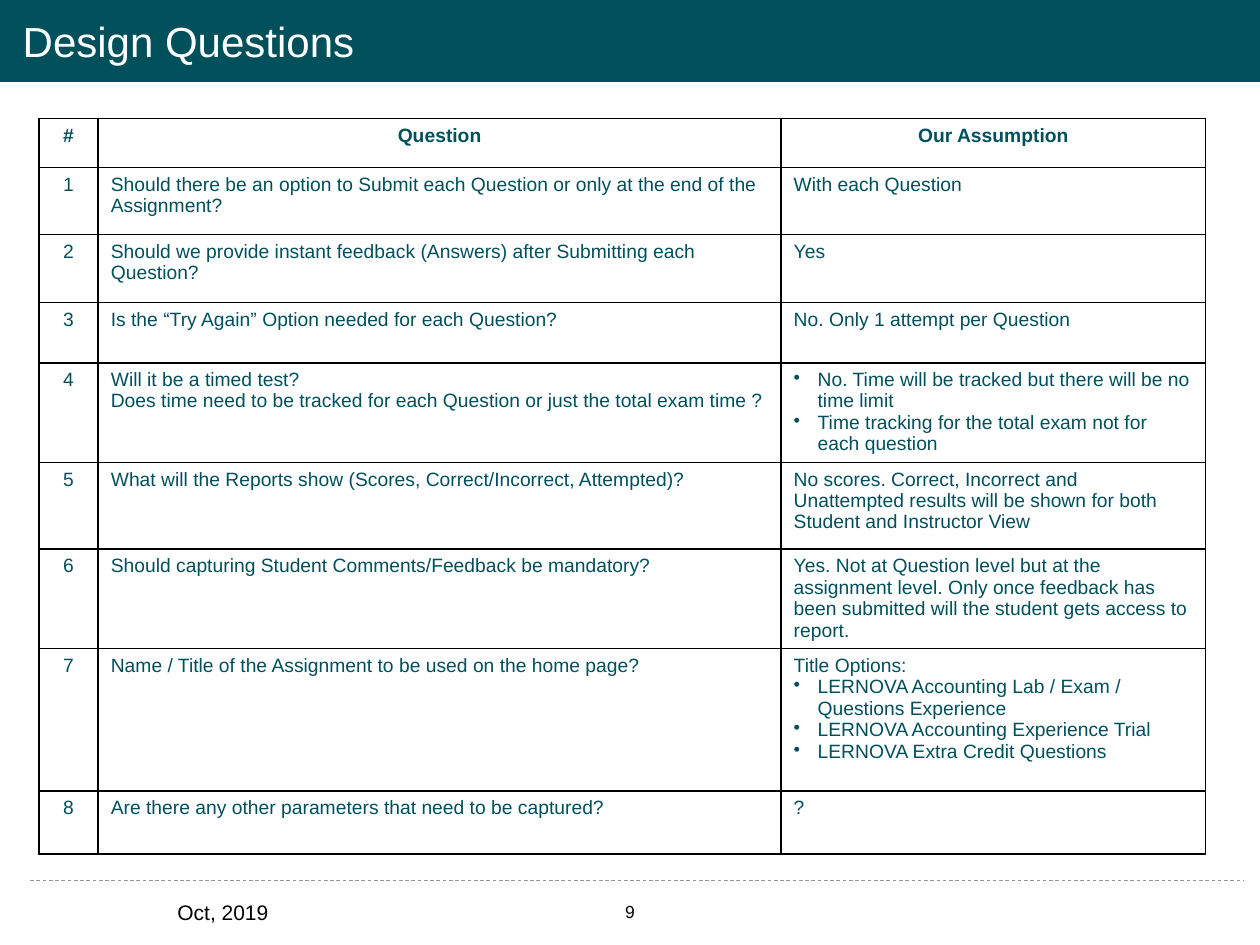
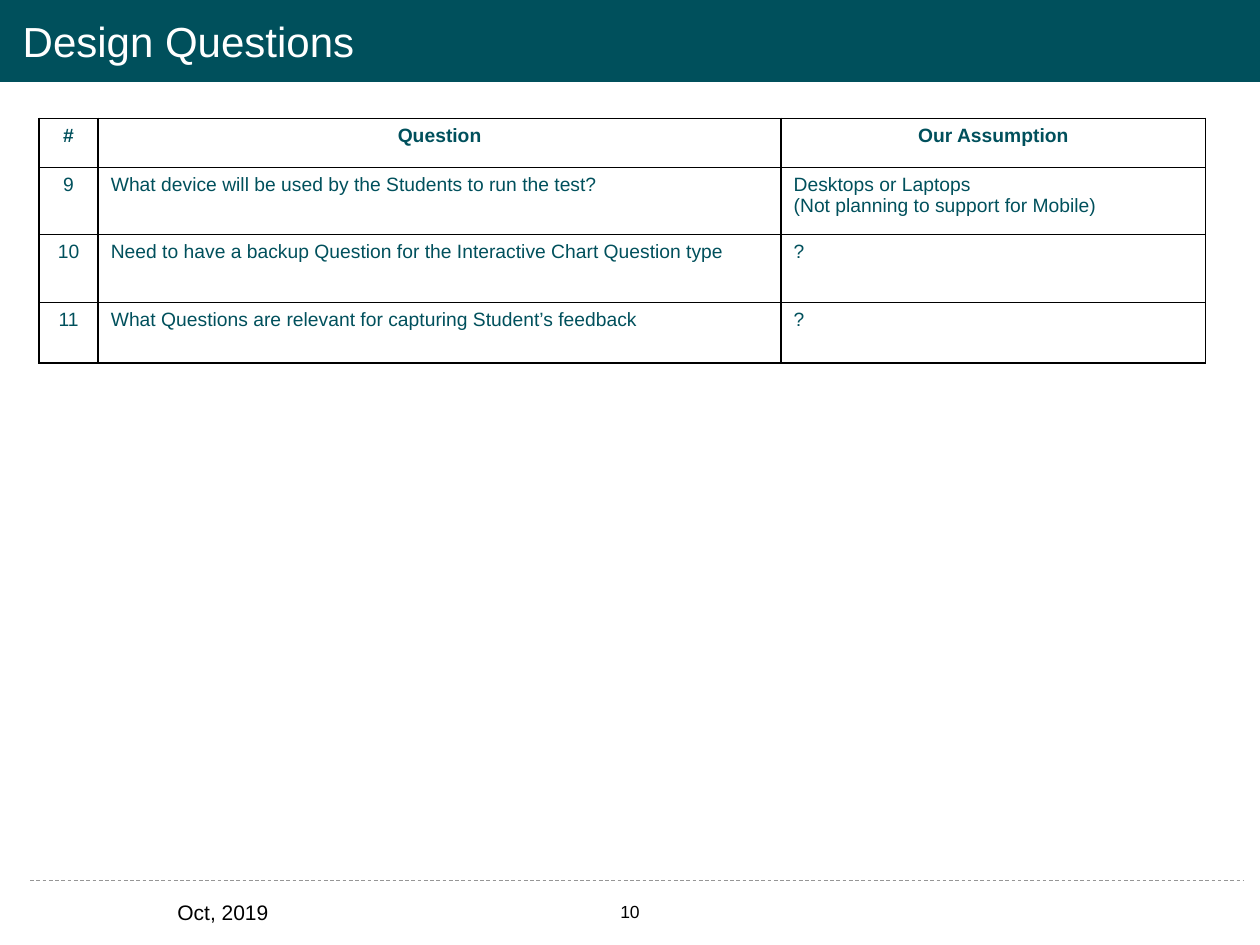
"""Builds two slides of design questions with the assumptions made for each."""
from dataclasses import dataclass

from lxml.etree import SubElement
from pptx import Presentation
from pptx.dml.color import RGBColor as RGB
from pptx.enum.dml import MSO_LINE
from pptx.enum.shapes import MSO_CONNECTOR as CONN, MSO_SHAPE as SHAPE
from pptx.enum.text import MSO_ANCHOR as ANCHOR, MSO_AUTO_SIZE as AUTO, PP_ALIGN as ALIGN
from pptx.oxml import parse_xml
from pptx.oxml.ns import nsdecls, qn
from pptx.util import Inches, Pt

BULLET = "• "


@dataclass(frozen=True)
class Theme:
    """Colours, font and type sizes."""
    teal: str = "00505C"
    white: str = "FFFFFF"
    black: str = "000000"
    grey: str = "969696"
    font: str = "Arial"
    title: int = 24
    date: int = 12
    cell: int = 11
    page: int = 10


def write(tf, text, *, size, color, font="Arial", bold=False, align=ALIGN.LEFT,
          leading=None, before=0, after=0, indent=0.19):
    """Fill a text frame, one paragraph per line; a leading bullet makes a list item."""
    for i, line in enumerate(text.split("\n")):
        p = tf.paragraphs[0] if i == 0 else tf.add_paragraph()
        p.alignment, p.line_spacing = align, leading
        p.space_before, p.space_after = Pt(before), Pt(after)
        if line.startswith(BULLET):
            pPr = p._p.get_or_add_pPr()
            pPr.set("marL", str(Inches(indent)))
            pPr.set("indent", str(-Inches(indent)))
            SubElement(pPr, qn("a:buChar")).set("char", BULLET.strip())
        r = p.add_run()
        r.text = line.removeprefix(BULLET)
        r.font.size, r.font.bold, r.font.name = Pt(size), bold, font
        r.font.color.rgb = RGB.from_string(color)


class Deck:
    """Holds the style and current slide; lengths are cells of a 100 by 75 grid."""

    def __init__(self, theme):
        self.prs, self.theme = Presentation(), theme
        self.prs.slide_width, self.prs.slide_height = Inches(10), Inches(7.5)
        self.unit = self.prs.slide_width // 100
        self.slide = None

    def grid(self, *cells):
        """Turn grid cells into lengths."""
        return [round(c * self.unit) for c in cells]

    def band(self, *box):
        """Add a plain filled band."""
        sp = self.slide.shapes.add_shape(SHAPE.RECTANGLE, *self.grid(*box))
        sp.shadow.inherit = False
        sp.fill.solid()
        sp.fill.fore_color.rgb = RGB.from_string(self.theme.teal)
        sp.line.fill.background()

    def rule(self, *ends):
        """Add a thin dashed line."""
        line = self.slide.shapes.add_connector(CONN.STRAIGHT, *self.grid(*ends))
        line.line.color.rgb = RGB.from_string(self.theme.grey)
        line.line.width, line.line.dash_style = Pt(0.5), MSO_LINE.DASH
        SubElement(line._element.spPr, qn("a:effectLst"))

    def text(self, text, *box, anchor=ANCHOR.TOP, inset=0.5, **fmt):
        """Add a wrapping text box."""
        tf = self.slide.shapes.add_textbox(*self.grid(*box)).text_frame
        tf.word_wrap, tf.vertical_anchor = True, anchor
        tf.margin_top, tf.margin_bottom = self.grid(inset, inset)
        write(tf, text, color=self.theme.black, font=self.theme.font, **fmt)

    def title(self, text):
        """Fill the title placeholder and bring it in front of the band."""
        sp = self.slide.shapes.title
        sp.left, sp.top, sp.width, sp.height = self.grid(0.8, 0.2, 94.8, 6.5)
        sp.element.getparent().append(sp.element)
        tf = sp.text_frame
        tf.auto_size, tf.vertical_anchor = AUTO.NONE, ANCHOR.MIDDLE
        write(tf, text, size=self.theme.title, color=self.theme.white,
              font=self.theme.font, leading=0.9, before=3, after=6)

    def page(self, title, number):
        """Start a slide with its band, footer and title."""
        self.slide = self.prs.slides.add_slide(self.prs.slide_layouts[5])
        self.text(str(number), 37.2, 70.7, 25.6, 3.7, inset=1,
                  size=self.theme.page, align=ALIGN.CENTER)
        self.band(0, 0, 100, 6.5)
        self.rule(2.4, 69.9, 98.7, 69.9)
        self.text("Oct, 2019", 13.1, 69.5, 22.5, 6.1, anchor=ANCHOR.MIDDLE,
                  size=self.theme.date, leading=0.9, before=7.5)
        self.title(title)

    def outline(self, cell):
        """Draw all four borders of a table cell."""
        tcPr = cell._tc.get_or_add_tcPr()
        for i, side in enumerate("LRTB"):
            tcPr.insert(i, parse_xml(
                f'<a:ln{side} {nsdecls("a")} w="{Pt(1)}"><a:solidFill>'
                f'<a:srgbClr val="{self.theme.black}"/></a:solidFill></a:ln{side}>'))

    def table(self, left, top, widths, heights, rows):
        """Add a bordered table with a bold, centred header and centred first column."""
        box = self.grid(left, top, sum(widths), sum(heights))
        tbl = self.slide.shapes.add_table(len(rows), len(widths), *box).table
        tbl.first_row = tbl.horz_banding = False
        for col, width in zip(tbl.columns, self.grid(*widths)):
            col.width = width
        for row, height in zip(tbl.rows, self.grid(*heights)):
            row.height = height
        for y, row in enumerate(rows):
            for x, text in enumerate(row):
                cell = tbl.cell(y, x)
                cell.fill.background()
                self.outline(cell)
                write(cell.text_frame, text, size=self.theme.cell, color=self.theme.teal,
                      font=self.theme.font, bold=y == 0,
                      align=ALIGN.LEFT if x and y else ALIGN.CENTER)


HEADER = ("#", "Question", "Our Assumption")
WIDTHS = (4.7, 54.2, 33.7)
HEIGHTS = (3.9, 5.3, 5.4, 4.8, 7.9, 6.9, 7.9, 11.3, 5)
FIRST_PAGE = 9

QUESTIONS = [
    [
        ("Should there be an option to Submit each Question or only at the end of the Assignment?",
         "With each Question"),
        ("Should we provide instant feedback (Answers) after Submitting each Question?", "Yes"),
        ("Is the “Try Again” Option needed for each Question?", "No. Only 1 attempt per Question"),
        ("Will it be a timed test?\n"
         "Does time need to be tracked for each Question or just the total exam time ?",
         "• No. Time will be tracked but there will be no time limit\n"
         "• Time tracking for the total exam not for each question"),
        ("What will the Reports show (Scores, Correct/Incorrect, Attempted)?",
         "No scores. Correct, Incorrect and Unattempted results will be shown for both "
         "Student and Instructor View"),
        ("Should capturing Student Comments/Feedback be mandatory?",
         "Yes. Not at Question level but at the assignment level. Only once feedback has "
         "been submitted will the student gets access to report."),
        ("Name / Title of the Assignment to be used on the home page?",
         "Title Options:\n"
         "• LERNOVA Accounting Lab / Exam / Questions Experience\n"
         "• LERNOVA Accounting Experience Trial\n"
         "• LERNOVA Extra Credit Questions"),
        ("Are there any other parameters that need to be captured?", "?"),
    ],
    [
        ("What device will be used by the Students to run the test?",
         "Desktops or Laptops\n(Not planning to support for Mobile)"),
        ("Need to have a backup Question for the Interactive Chart Question type", "?"),
        ("What Questions are relevant for capturing Student’s feedback", "?"),
    ],
]


def main():
    """Build and save the deck, numbering questions across slides."""
    deck = Deck(Theme())
    number = 1
    for page, questions in enumerate(QUESTIONS, FIRST_PAGE):
        deck.page("Design Questions", page)
        rows = [HEADER] + [(str(n), *qa) for n, qa in enumerate(questions, number)]
        deck.table(3.1, 9.4, WIDTHS, HEIGHTS[:len(rows)], rows)
        number += len(questions)
    deck.prs.save("out.pptx")


if __name__ == "__main__":
    main()
